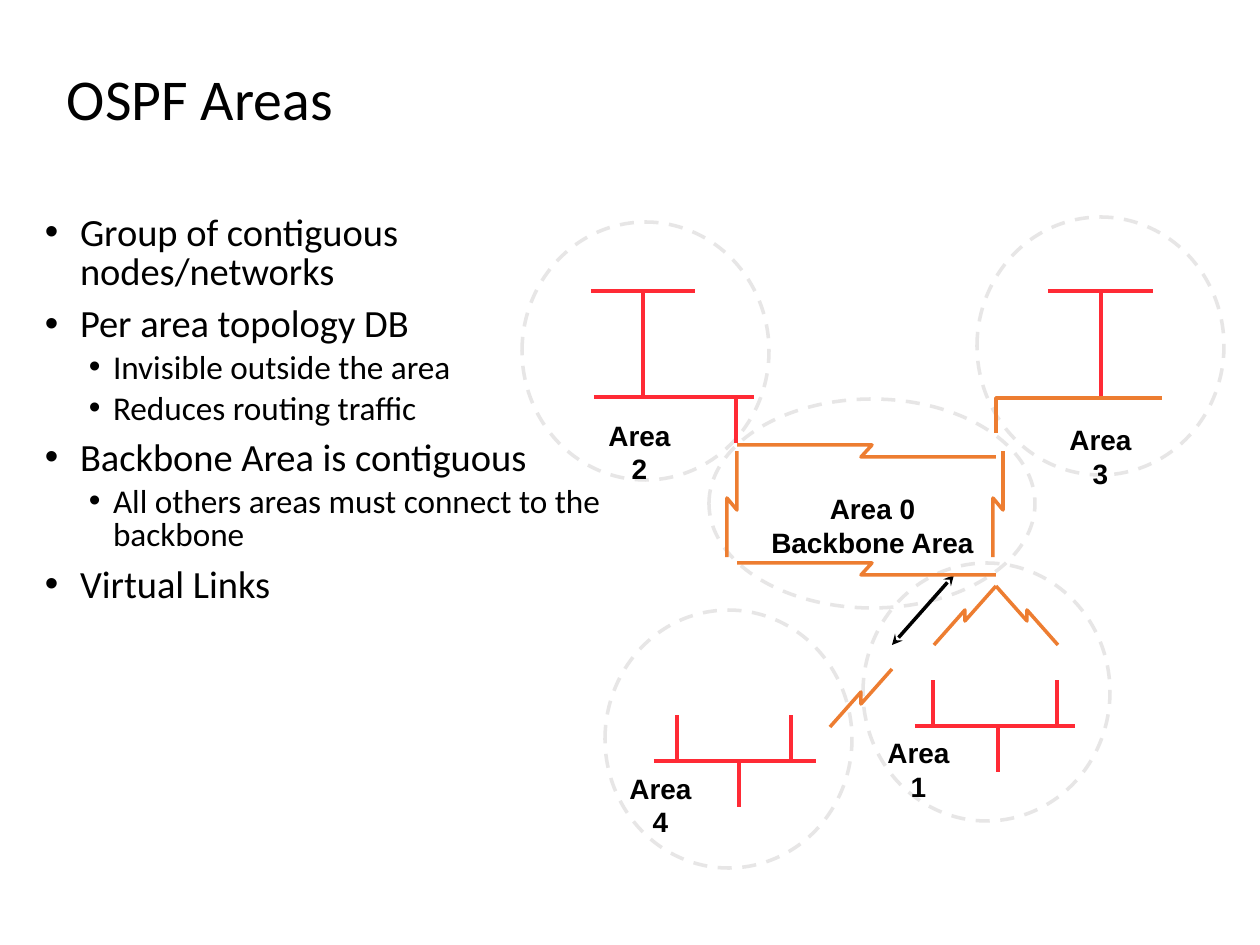
from pptx import Presentation
from pptx import util as u
from pptx.dml.color import RGBColor
from pptx.enum import dml, shapes, text
from pptx.oxml.ns import qn
from lxml import etree

PX = 914400 / 126
BLACK, RED, ORANGE, GREY = "000000", "FF2A35", "ED7D31", "E7E6E6"

TITLE = "OSPF Areas"
BULLETS = [
    (0, "Group of contiguous nodes/networks"),
    (0, "Per area topology DB"),
    (1, "Invisible outside the area"),
    (1, "Reduces routing traffic"),
    (0, "Backbone Area is contiguous"),
    (1, "All others areas must connect to the backbone"),
    (0, "Virtual Links"),
]
LEVELS = [
    {"size": 22, "before": 7.5, "left": 35, "hang": 35},
    {"size": 19, "before": 3.8, "left": 68, "hang": 24},
]
AREA_SIZE = (247, 258)
AREA_CORNERS = [(863, 563), (605, 610), (522, 222), (977, 217)]
BACKBONE = (709, 399, 326, 209)
LABELS = [
    (["Area 1"], (853, 725, 131, 57), False),
    (["Area 4"], (595, 760, 131, 57), True),
    (["Area 0", "Backbone Area"], (748, 481, 249, 91), False),
    (["Area 2"], (574, 407, 131, 57), False),
    (["Area 3"], (1035, 412, 131, 57), True),
]
SEGMENTS = [
    (915, 726, 1075, 726), (933, 726, 933, 680), (998, 772, 998, 727), (1057, 726, 1057, 680),
    (654, 761, 816, 761), (791, 761, 791, 715), (677, 761, 677, 715), (739, 807, 739, 762),
    (736, 443, 736, 398), (594, 397, 754, 397), (643, 397, 643, 292), (591, 291, 695, 291),
    (1101, 396, 1101, 292), (1048, 291, 1153, 291),
]
VIRTUAL_LINK = (954, 575, 892, 645)
BENDS = {
    "slant": [(0.5, 0.6), (0.5, 0.4)],
    "flat": [(0.52, 0), (0.48, 1)],
    "upright": [(0, 0.56), (1, 0.44)],
}
BOLTS = [
    ("slant", (830, 727), (892, 669)),
    ("slant", (934, 645), (996, 586)),
    ("slant", (1058, 645), (996, 586)),
    ("upright", (1003, 451), (993, 557)),
    ("upright", (737, 451), (727, 557)),
    ("flat", (737, 563), (996, 575)),
    ("flat", (737, 445), (996, 457)),
]
AREA_3_LINK = [(1162, 398), (996, 398), (996, 433)]


def px(*values):
    return [u.Emu(round(value * PX)) for value in values]


def colour(value):
    return RGBColor.from_string(value)


def stroke(item, value):
    item.line.color.rgb = colour(value)
    item.line.width = u.Pt(2)


def add_box(page, place, insets, wrap=True):
    frame = page.shapes.add_textbox(*px(*place)).text_frame
    frame.word_wrap = wrap
    side, edge = px(*insets)
    frame.margin_left = frame.margin_right = side
    frame.margin_top = frame.margin_bottom = edge
    return frame


def add_span(para, words, size, font="Calibri", bold=False):
    span = para.add_run()
    span.text = words
    span.font.size = u.Pt(size)
    span.font.name = font
    span.font.bold = bold
    span.font.color.rgb = colour(BLACK)


def next_para(frame, index):
    return frame.add_paragraph() if index else frame.paragraphs[0]


def add_title(page):
    frame = add_box(page, (57, 43, 1086, 117), (10, 5))
    frame.vertical_anchor = text.MSO_ANCHOR.MIDDLE
    para = frame.paragraphs[0]
    para.line_spacing = 0.9
    add_span(para, TITLE, 33)


def add_bullets(page):
    frame = add_box(page, (35, 210, 579, 494), (10, 5))
    for index, (depth, words) in enumerate(BULLETS):
        level = LEVELS[depth]
        para = next_para(frame, index)
        para.level = depth
        para.line_spacing = 0.85
        if index:
            para.space_before = u.Pt(level["before"])
        left, hang = px(level["left"], level["hang"])
        properties = para._p.get_or_add_pPr()
        properties.set("marL", str(left))
        properties.set("indent", str(-hang))
        etree.SubElement(properties, qn("a:buFont")).set("typeface", "Arial")
        etree.SubElement(properties, qn("a:buChar")).set("char", "•")
        add_span(para, words, level["size"])


def add_ellipse(page, place):
    ellipse = page.shapes.add_shape(shapes.MSO_SHAPE.OVAL, *px(*place))
    ellipse.shadow.inherit = False
    ellipse.fill.background()
    stroke(ellipse, GREY)
    ellipse.line.dash_style = dml.MSO_LINE.DASH


def add_line(page, ends, value, arrows=False):
    line = page.shapes.add_connector(shapes.MSO_CONNECTOR.STRAIGHT, *px(*ends))
    stroke(line, value)
    if arrows:
        for tag in ("a:headEnd", "a:tailEnd"):
            etree.SubElement(line.line._get_or_add_ln(), qn(tag)).set("type", "stealth")
    etree.SubElement(line._element.spPr, qn("a:effectLst"))


def add_path(page, points):
    builder = page.shapes.build_freeform(*points[0], scale=PX)
    builder.add_line_segments(points[1:], close=False)
    outline = builder.convert_to_shape()
    outline.shadow.inherit = False
    outline.fill.background()
    stroke(outline, ORANGE)


def bolt_points(kind, start, end):
    (x0, y0), (x1, y1) = start, end
    bends = [(x0 + (x1 - x0) * fx, y0 + (y1 - y0) * fy) for fx, fy in BENDS[kind]]
    return [start, *bends, end]


def add_label(page, lines, place, wrap):
    frame = add_box(page, place, (23, 11), wrap)
    for index, words in enumerate(lines):
        para = next_para(frame, index)
        para.alignment = text.PP_ALIGN.CENTER
        add_span(para, words, 16, "Arial", True)


def main():
    deck = Presentation()
    deck.slide_width, deck.slide_height = u.Inches(10), u.Inches(7.5)
    page = deck.slides.add_slide(deck.slide_layouts[6])
    add_title(page)
    add_bullets(page)
    add_ellipse(page, BACKBONE)
    for corner in AREA_CORNERS:
        add_ellipse(page, corner + AREA_SIZE)
    for ends in SEGMENTS:
        add_line(page, ends, RED)
    add_line(page, VIRTUAL_LINK, BLACK, arrows=True)
    for bolt in BOLTS:
        add_path(page, bolt_points(*bolt))
    add_path(page, AREA_3_LINK)
    for label in LABELS:
        add_label(page, *label)
    deck.save("out.pptx")


if __name__ == "__main__":
    main()
